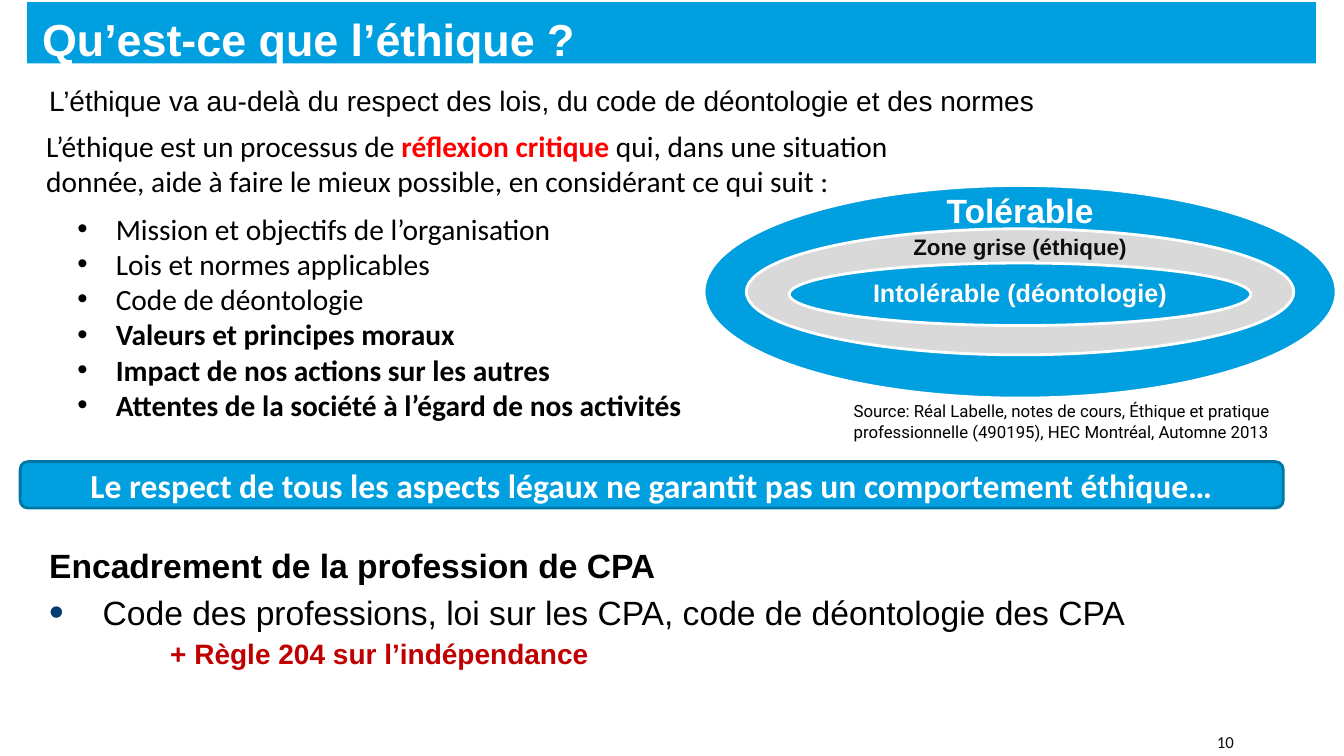
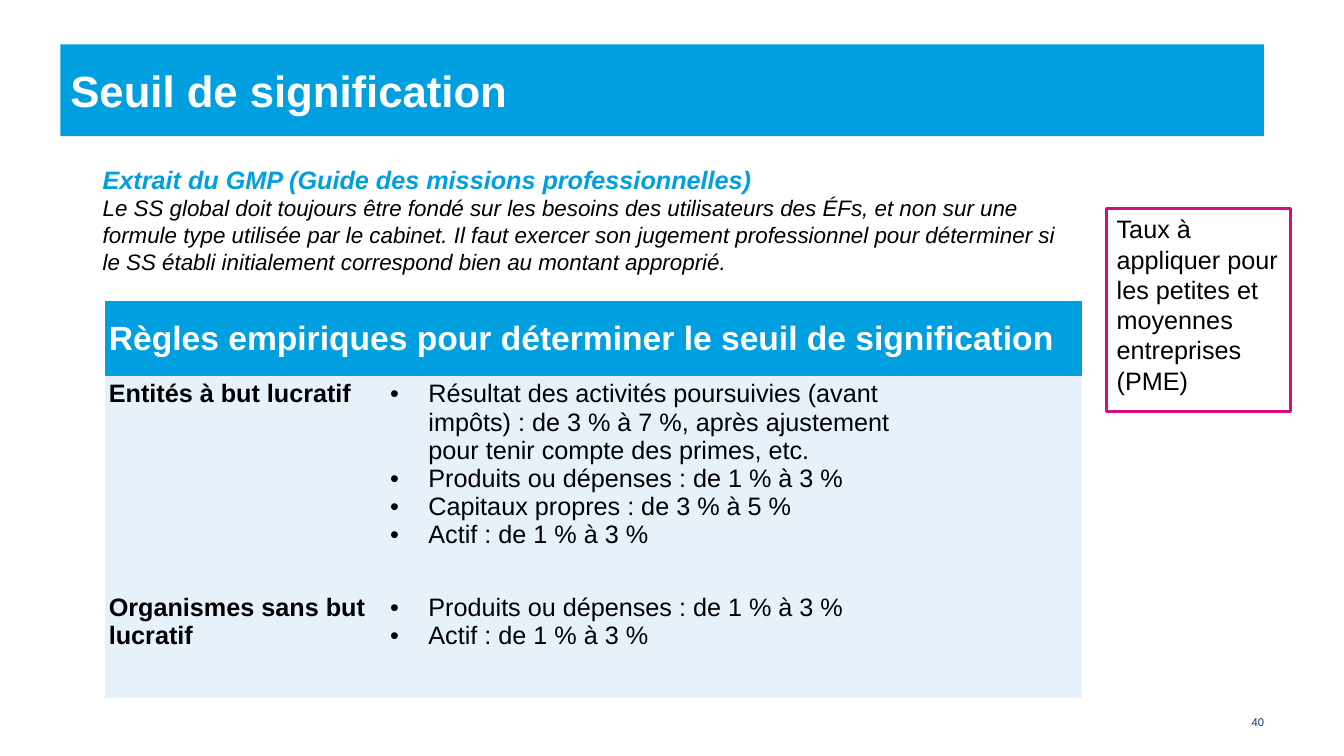
from dataclasses import dataclass

from lxml.etree import SubElement
from pptx import Presentation
from pptx.dml.color import RGBColor
from pptx.enum.shapes import MSO_SHAPE as Shape
from pptx.enum.text import MSO_ANCHOR as Anchor, PP_ALIGN as Align
from pptx.oxml.ns import qn
from pptx.util import Emu, Inches, Pt


# Theme: colours, fonts and type sizes
@dataclass(frozen=True)
class Theme:
    blue: str = "009FDF"
    blue_edge: str = "0076A5"
    navy: str = "003C71"
    pale: str = "E7F1F9"
    grey: str = "D9D9D9"
    magenta: str = "D40F7D"
    red: str = "FF0000"
    dark_red: str = "C00000"
    ink: str = "0D0D0D"
    black: str = "000000"
    white: str = "FFFFFF"
    sans: str = "Arial"
    humanist: str = "Calibri"
    source: str = "Roboto"
    heading: float = 24
    lead: float = 21
    intro: float = 20
    body: float = 18
    small: float = 16
    note: float = 12
    tiny: float = 8


THEME = Theme()
WIDTH, HEIGHT = Inches(13.33), Inches(7.5)
NO_TABLE_STYLE = "{2D5ABB26-0587-4C30-8999-92F81FD0307C}"


# Grid: 100 columns by 100 rows
def col(count):
    return Emu(int(WIDTH * count / 100))


def row(count):
    return Emu(int(HEIGHT * count / 100))


def grid(left, top, width, height):
    return col(left), row(top), col(width), row(height)


# Text
def span(text, size, color=THEME.black, font=THEME.sans, bold=False, italic=False):
    return dict(text=text, size=size, color=color, font=font, bold=bold, italic=italic)


def para(*spans, align=Align.LEFT, spacing=1.0, before=0, indent=0, hanging=0,
         bullet=False, bullet_color=None, bullet_percent=100):
    return dict(spans=spans, align=align, spacing=spacing, before=before, indent=indent,
                hanging=hanging, bullet=bullet, bullet_color=bullet_color,
                bullet_percent=bullet_percent)


def add_bullet(properties, color, percent):
    if color:
        SubElement(SubElement(properties, qn("a:buClr")), qn("a:srgbClr"), val=color)
    SubElement(properties, qn("a:buSzPct"), val=str(percent * 1000))
    SubElement(properties, qn("a:buFont"), typeface=THEME.sans)
    SubElement(properties, qn("a:buChar"), char="•")


def write(frame, paras):
    frame.word_wrap = True
    for index, content in enumerate(paras):
        paragraph = frame.add_paragraph() if index else frame.paragraphs[0]
        paragraph.alignment = content["align"]
        paragraph.line_spacing = content["spacing"]
        if index:
            paragraph.space_before = Pt(content["before"])
        properties = paragraph._p.get_or_add_pPr()
        properties.set("marL", str(Inches(content["indent"])))
        properties.set("indent", str(-Inches(content["hanging"])))
        if content["bullet"]:
            add_bullet(properties, content["bullet_color"], content["bullet_percent"])
        for piece in content["spans"]:
            run = paragraph.add_run()
            run.text = piece["text"]
            run.font.name = piece["font"]
            run.font.size = Pt(piece["size"])
            run.font.bold = piece["bold"]
            run.font.italic = piece["italic"]
            run.font.color.rgb = RGBColor.from_string(piece["color"])


# Elements
def add_text(page, place, *paras, anchor=Anchor.TOP):
    box = page.shapes.add_textbox(*grid(*place))
    box.text_frame.vertical_anchor = anchor
    write(box.text_frame, paras)


def add_panel(page, kind, place, *paras, fill=None, edge=None, anchor=Anchor.MIDDLE):
    panel = page.shapes.add_shape(kind, *grid(*place))
    panel.shadow.inherit = False
    if fill:
        panel.fill.solid()
        panel.fill.fore_color.rgb = RGBColor.from_string(fill)
    else:
        panel.fill.background()
    if edge:
        panel.line.color.rgb = RGBColor.from_string(edge)
        panel.line.width = Pt(2)
    else:
        panel.line.fill.background()
    panel.text_frame.vertical_anchor = anchor
    write(panel.text_frame, paras)


def add_title(page, place, text, size, **layout):
    title = para(span(text, size, THEME.white, bold=True), **layout)
    add_panel(page, Shape.RECTANGLE, place, title, fill=THEME.blue)


def add_page_number(page, place, number, size, color, font):
    add_text(page, place, para(span(number, size, color, font), align=Align.RIGHT),
             anchor=Anchor.MIDDLE)


def add_zones(page, center, zones):
    for top, width, height, fill, label, label_middle, size, color in zones:
        left = center - width / 2
        add_panel(page, Shape.OVAL, (left, top, width, height), fill=fill, edge=THEME.white)
        add_text(page, (left, label_middle - 3, width, 6),
                 para(span(label, size, color, bold=True), align=Align.CENTER, spacing=0.9),
                 anchor=Anchor.MIDDLE)


def fill_cell(cell, paras, fill, anchor=Anchor.TOP, right=0.04):
    cell.fill.solid()
    cell.fill.fore_color.rgb = RGBColor.from_string(fill)
    cell.margin_left = cell.margin_top = cell.margin_bottom = Inches(0.04)
    cell.margin_right = Inches(right)
    cell.vertical_anchor = anchor
    write(cell.text_frame, paras)


def add_rules_table(page, left, top, widths, heights, header, rules):
    place = grid(left, top, sum(widths), sum(heights))
    table = page.shapes.add_table(len(heights), len(widths), *place).table
    table._tbl.tblPr.find(qn("a:tableStyleId")).text = NO_TABLE_STYLE
    table.first_row = table.horz_banding = False
    for column, width in zip(table.columns, widths):
        column.width = col(width)
    for line, height in zip(table.rows, heights):
        line.height = row(height)

    table.cell(0, 0).merge(table.cell(0, len(widths) - 1))
    fill_cell(table.cell(0, 0), [para(span(header, THEME.heading, THEME.white, bold=True))],
              THEME.blue, Anchor.MIDDLE)
    for index, (entity, items) in enumerate(rules, start=1):
        fill_cell(table.cell(index, 0), [para(span(entity, THEME.body, bold=True))], THEME.pale)
        bullets = [para(span(item, THEME.body), indent=0.38, hanging=0.38, bullet=True)
                   for item in items]
        fill_cell(table.cell(index, 1), bullets, THEME.pale, right=1.63)


# Slides
def build_ethics(page):
    add_title(page, (2.02, 0.27, 95.9, 8.13), "Qu’est-ce que l’éthique ?", 32,
              spacing=1.2, indent=0.05)
    add_text(page, (2.55, 10.4, 95.9, 5.6), para(span(
        "L’éthique va au-delà du respect des lois, du code de déontologie et des normes",
        THEME.intro), indent=0.05))

    # Definition and what to consider
    lead = dict(size=THEME.lead, font=THEME.humanist)
    add_text(page, (2.7, 16.3, 64.5, 9.73), para(
        span("L’éthique est un processus de ", **lead),
        span("réflexion critique ", color=THEME.red, bold=True, **lead),
        span("qui, dans une situation donnée, aide à faire le mieux possible, "
             "en considérant ce qui suit :", **lead)))
    considerations = [
        ("Mission et objectifs de l’organisation", False),
        ("Lois et normes applicables", False),
        ("Code de déontologie", False),
        ("Valeurs et principes moraux", True),
        ("Impact de nos actions sur les autres", True),
        ("Attentes de la société à l’égard de nos activités", True),
    ]
    add_text(page, (0.6, 27.2, 54, 28.53), *[
        para(span(text, bold=bold, **lead), indent=0.97, hanging=0.38, bullet=True)
        for text, bold in considerations])

    # Nested zones and their source
    add_zones(page, 75.9, [
        (24.53, 47.03, 28.13, THEME.blue, "Tolérable", 28.1, THEME.heading, THEME.white),
        (30.27, 40.73, 16.67, THEME.grey, "Zone grise (éthique)", 32.8, THEME.small, THEME.ink),
        (34.8, 34.35, 8.27, THEME.blue, "Intolérable (déontologie)", 38.9, THEME.body,
         THEME.white),
    ])
    add_text(page, (62.78, 52.4, 36.75, 6.67), para(span(
        "Source: Réal Labelle, notes de cours, Éthique et pratique professionnelle (490195), "
        "HEC Montréal, Automne 2013", THEME.note, font=THEME.source)))

    # Key message
    add_panel(page, Shape.ROUNDED_RECTANGLE, (1.5, 61.07, 93.98, 6.13), para(span(
        "Le respect de tous les aspects légaux ne garantit pas un comportement éthique…",
        THEME.heading, THEME.white, THEME.humanist, bold=True), align=Align.CENTER),
        fill=THEME.blue, edge=THEME.blue_edge)

    # Professional framework
    add_text(
        page, (2.55, 71.47, 95.9, 21),
        para(span("Encadrement de la profession de CPA", THEME.heading, bold=True), indent=0.05),
        para(span("Code des professions, loi sur les CPA, code de déontologie des CPA",
                  THEME.heading), spacing=1.1, before=1.5, indent=0.58, hanging=0.53,
             bullet=True, bullet_color=THEME.navy, bullet_percent=125),
        para(span("+ Règle 204 sur l’indépendance", THEME.intro, THEME.dark_red, bold=True),
             spacing=1.1, before=1, indent=1.25))
    add_page_number(page, (78.5, 96.13, 14.05, 3.87), "10", THEME.note, THEME.ink,
                    THEME.humanist)


def build_materiality(page):
    add_title(page, (4.5, 5.87, 89.55, 12.13), "Seuil de signification", 31.2)

    # Guide excerpt
    add_text(
        page, (6.9, 21.07, 73.58, 16.13),
        para(span("Extrait du GMP (Guide des missions professionnelles)", THEME.body,
                  THEME.blue, bold=True, italic=True)),
        para(span("Le SS global doit toujours être fondé sur les besoins des utilisateurs des "
                  "ÉFs, et non sur une formule type utilisée par le cabinet. Il faut exercer son "
                  "jugement professionnel pour déterminer si le SS établi initialement "
                  "correspond bien au montant approprié.", THEME.small, italic=True)))

    # Rules of thumb
    add_rules_table(
        page, 7.8, 39.87, (20.93, 51.75), (9.87, 28.27, 14.27),
        "Règles empiriques pour déterminer le seuil de signification",
        [("Entités à but lucratif", [
            "Résultat des activités poursuivies (avant impôts) : de 3 % à 7 %, "
            "après ajustement pour tenir compte des primes, etc.",
            "Produits ou dépenses : de 1 % à 3 %",
            "Capitaux propres : de 3 % à 5 %",
            "Actif : de 1 % à 3 %"]),
         ("Organismes sans but lucratif", [
             "Produits ou dépenses : de 1 % à 3 %",
             "Actif : de 1 % à 3 %"])])

    # Side note
    add_panel(page, Shape.RECTANGLE, (82.35, 27.6, 13.65, 26.8), para(span(
        "Taux à appliquer pour les petites et moyennes entreprises (PME)", THEME.body)),
        edge=THEME.magenta, anchor=Anchor.TOP)
    add_page_number(page, (89.7, 94.27, 5.1, 2.4), "40", THEME.tiny, THEME.navy, THEME.sans)


def main():
    deck = Presentation()
    deck.slide_width, deck.slide_height = WIDTH, HEIGHT
    for build in (build_ethics, build_materiality):
        build(deck.slides.add_slide(deck.slide_layouts[6]))
    deck.save("out.pptx")


if __name__ == "__main__":
    main()
